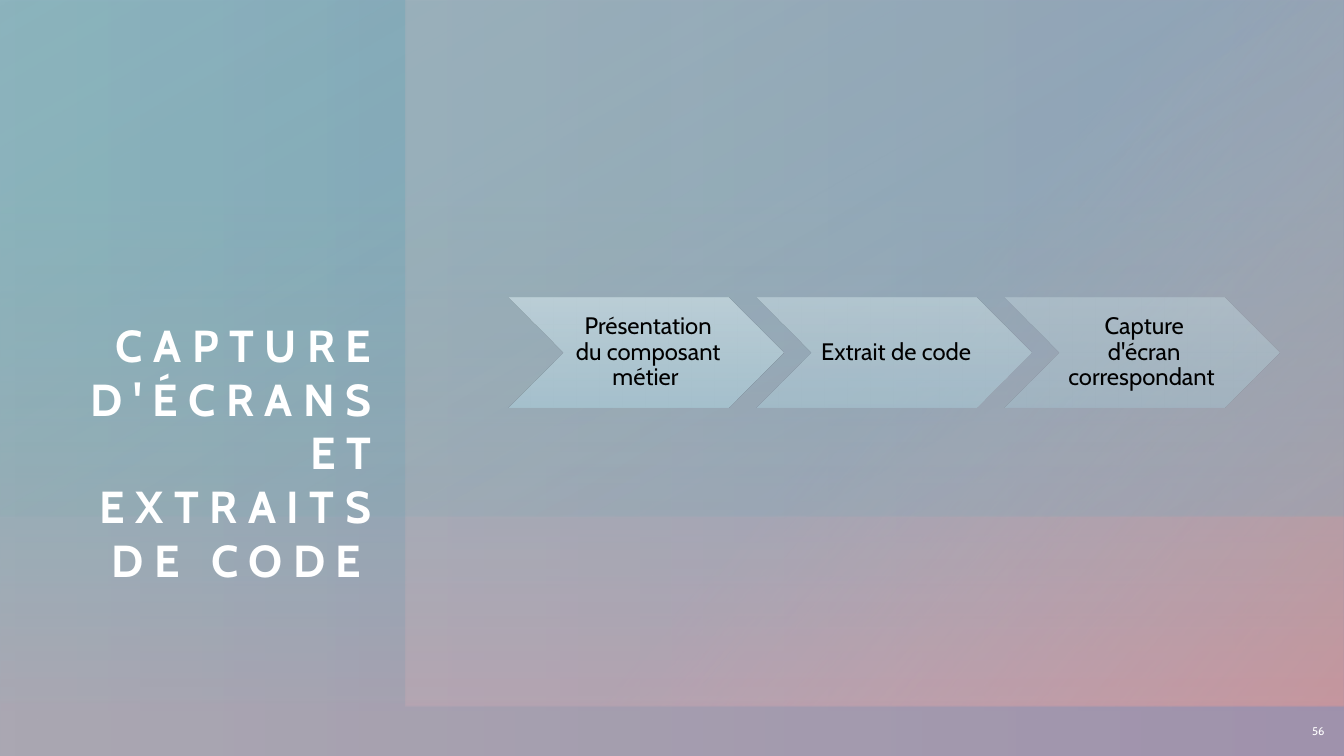
"""Build a section slide with a layered gradient backdrop and three chevron steps."""
import pptx
import pptx.dml.color
import pptx.enum.shapes
import pptx.enum.text
import pptx.oxml
import pptx.oxml.ns
import pptx.util

Cm = pptx.util.Cm
SHAPE = pptx.enum.shapes.MSO_SHAPE
ALIGN = pptx.enum.text.PP_ALIGN
ANCHOR = pptx.enum.text.MSO_ANCHOR

COLOURS = {
    "white": "FFFFFF", "black": "000000", "teal": "76ACA6", "blue": "7EA8B9",
    "indigo": "7F90BA", "blush": "DDC0C5", "rose": "C6969E",
    "step top": "BFD2DA", "step middle": "B2C9D3", "step bottom": "A6C2CF",
}
FONT = "Cabin"
WIDTH, HEIGHT = 33.87, 19.05
TITLE = "CAPTURE D'ÉCRANS ET EXTRAITS DE CODE "
PAGE_NUMBER = "56"
STEPS = [
    ("Présentation du composant métier ", 90),
    ("Extrait de code ", 70),
    ("Capture d'écran correspondant ", 50),
]
BACKDROP = [
    {"box": (0, -0.03, WIDTH, 19.08), "angle": 0,
     "stops": [(0, "blue", 83), (100, "indigo", 100)]},
    {"box": (13.11, -2.97, 17.88, 23.67), "angle": 310, "rotation": 90,
     "stops": [(51, "blush", 33), (100, "rose", 100)]},
    {"box": (7.39, -7.39, 19.08, WIDTH), "angle": 0, "rotation": 90, "flip": True,
     "stops": [(6, "rose", 45), (74, "teal", 21)]},
    {"box": (10.41, -10.44, 13.03, WIDTH), "angle": 150, "rotation": 270,
     "stops": [(0, "teal", 0), (99, "blue", 32)]},
]
STEP_LEFT, STEP_TOP, STEP_WIDTH, STEP_HEIGHT, STEP_PITCH = 12.81, 7.49, 6.93, 2.78, 6.25


def add_gradient_shape(page, kind, box, stops, angle, rotation=0, flip=False):
    """Add a borderless shape with a translucent linear gradient."""
    shape = page.shapes.add_shape(kind, *(Cm(length) for length in box))
    shape.rotation = rotation
    shape.shadow.inherit = False
    shape.line.fill.background()
    properties = shape._element.spPr
    if flip:
        properties.xfrm.set("flipH", "1")
    stop_xml = "".join(
        f'<a:gs pos="{position * 1000}"><a:srgbClr val="{COLOURS[colour]}">'
        f'<a:alpha val="{opacity * 1000}"/></a:srgbClr></a:gs>'
        for position, colour, opacity in stops
    )
    gradient = pptx.oxml.parse_xml(
        f'<a:gradFill {pptx.oxml.ns.nsdecls("a")} rotWithShape="1"><a:gsLst>{stop_xml}</a:gsLst>'
        f'<a:lin ang="{angle * 60000}" scaled="0"/></a:gradFill>'
    )
    properties.insert(2, gradient)
    return shape


def write_text(box, text, size, colour, align, anchor=ANCHOR.MIDDLE, bold=False,
               spacing=1.0, tracking=0, insets=(0, 0, 0, 0)):
    """Fill a shape with one formatted paragraph."""
    frame = box.text_frame
    frame.word_wrap = True
    frame.auto_size = pptx.enum.text.MSO_AUTO_SIZE.NONE
    frame.vertical_anchor = anchor
    frame.margin_left, frame.margin_top, frame.margin_right, frame.margin_bottom = map(Cm, insets)
    para = frame.paragraphs[0]
    para.alignment = align
    para.line_spacing = spacing
    span = para.add_run()
    span.text = text
    span.font.name = FONT
    span.font.size = pptx.util.Pt(size)
    span.font.bold = bold
    span.font.color.rgb = pptx.dml.color.RGBColor.from_string(COLOURS[colour])
    if tracking:
        span._r.get_or_add_rPr().set("spc", str(int(tracking * 100)))


def main():
    """Compose and save the deck."""
    deck = pptx.Presentation()
    deck.slide_width, deck.slide_height = Cm(WIDTH), Cm(HEIGHT)
    page = deck.slides.add_slide(deck.slide_layouts[5])
    page.background.fill.solid()
    page.background.fill.fore_color.rgb = pptx.dml.color.RGBColor.from_string(COLOURS["white"])

    for panel in BACKDROP:
        add_gradient_shape(page, SHAPE.RECTANGLE, **panel)

    number = page.shapes.add_textbox(Cm(32.41), Cm(17.81), Cm(1.22), Cm(1.24))
    write_text(number, PAGE_NUMBER, 8, "white", ALIGN.RIGHT, insets=(0.25, 0.13, 0.25, 0.13))

    title = page.shapes.title
    title.left, title.top, title.width, title.height = Cm(0.64), Cm(5.31), Cm(8.99), Cm(9.47)
    write_text(title, TITLE, 32, "white", ALIGN.RIGHT, anchor=ANCHOR.BOTTOM,
               bold=True, tracking=7.5)
    page.shapes._spTree.append(title._element)

    for index, (label, opacity) in enumerate(STEPS):
        box = (STEP_LEFT + index * STEP_PITCH, STEP_TOP, STEP_WIDTH, STEP_HEIGHT)
        stops = [(0, "step top", opacity), (50, "step middle", opacity),
                 (100, "step bottom", opacity)]
        step = add_gradient_shape(page, SHAPE.CHEVRON, box, stops, angle=90)
        write_text(step, label, 17, "black", ALIGN.CENTER, spacing=0.9,
                   insets=(0.18, 0.06, 0.06, 0.06))

    deck.save("out.pptx")


if __name__ == "__main__":
    main()
